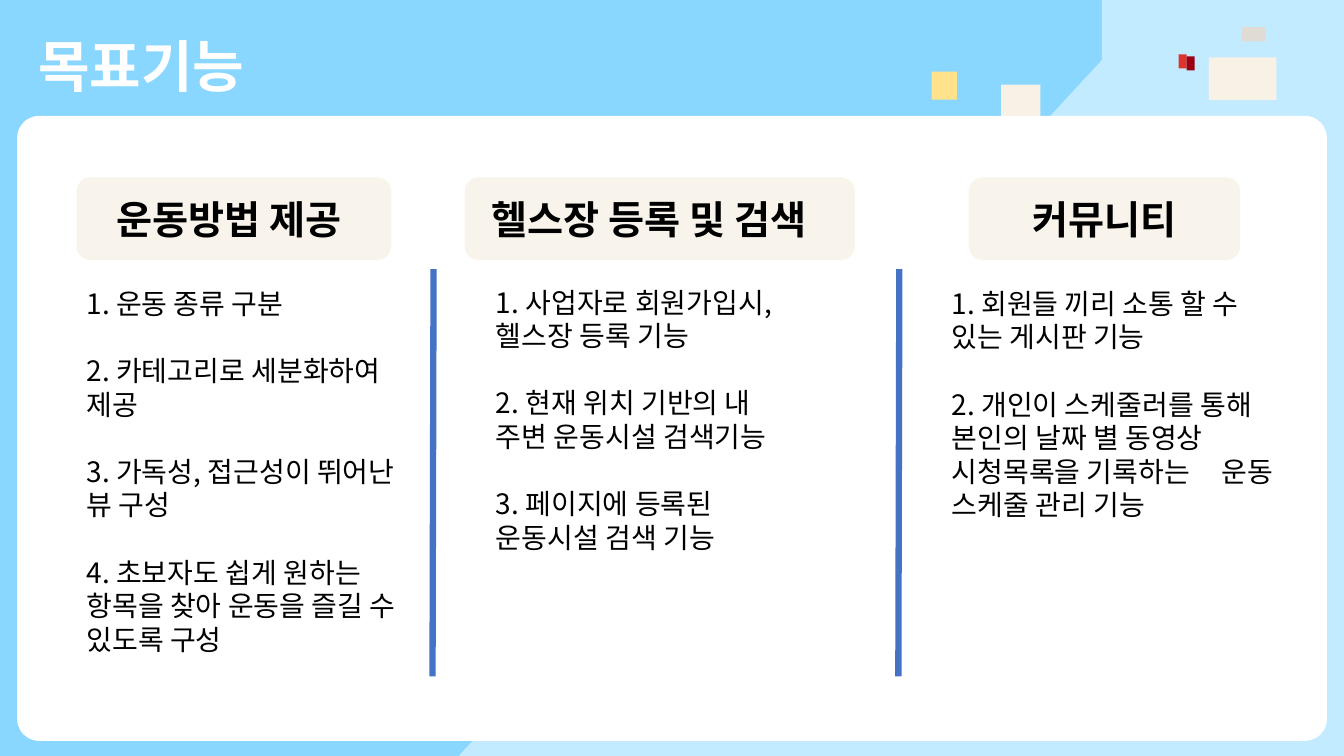
"""Build the target-features slide with three columns of planned functions."""
from dataclasses import dataclass

from lxml.etree import SubElement
from pptx import Presentation
from pptx.dml.color import RGBColor
from pptx.enum.shapes import MSO_CONNECTOR, MSO_SHAPE as Shape
from pptx.enum.text import MSO_ANCHOR as Anchor, PP_ALIGN as Align
from pptx.oxml.ns import qn
from pptx.util import Inches, Pt


@dataclass(frozen=True)
class Theme:
    font: str = "Noto Sans CJK KR"
    sky: str = "89D7FF"
    pale: str = "C3EBFF"
    cream: str = "F7F1E6"
    stone: str = "E0DCD3"
    red: str = "DD352E"
    wine: str = "990013"
    yellow: str = "FFE38C"
    white: str = "FFFFFF"
    black: str = "000000"
    divider: str = "4472C4"
    title_size: int = 40
    heading_size: int = 28
    body_size: int = 20


theme = Theme()


def add_block(kind, place, color):
    block = page.shapes.add_shape(kind, *map(Inches, place))
    block.shadow.inherit = False
    block.fill.solid()
    block.fill.fore_color.rgb = RGBColor.from_string(color)
    block.line.fill.background()
    return block


def write(para, text, size, color, bold=False):
    para.alignment = Align.LEFT
    para.line_spacing = Pt(size * 1.2)
    span = para.add_run()
    span.text = text
    span.font.name = theme.font
    span.font.size = Pt(size)
    span.font.bold = bold
    span.font.color.rgb = RGBColor.from_string(color)
    SubElement(span.font._element, qn("a:ea"), typeface=theme.font)


deck = Presentation()
deck.slide_width, deck.slide_height = Inches(13.33), Inches(7.5)
page = deck.slides.add_slide(deck.slide_layouts[5])
page.background.fill.solid()
page.background.fill.fore_color.rgb = RGBColor.from_string(theme.sky)

slope = add_block(Shape.RIGHT_TRIANGLE, (4.55, 0, 6.93, 7.5), theme.pale)
slope._element.spPr.find(qn("a:xfrm")).set("flipH", "1")

for place, color in [
    ((10.93, 0, 2.4, 7.5), theme.pale),
    ((12.32, 0.27, 0.23, 0.14), theme.stone),
    ((11.69, 0.54, 0.08, 0.14), theme.red),
    ((11.77, 0.56, 0.08, 0.14), theme.wine),
    ((9.93, 0.84, 0.39, 0.31), theme.cream),
    ((9.24, 0.71, 0.25, 0.28), theme.yellow),
    ((11.99, 0.57, 0.67, 0.42), theme.cream),
]:
    add_block(Shape.RECTANGLE, place, color)

card = add_block(Shape.ROUNDED_RECTANGLE, (0.17, 1.15, 12.99, 6.2), theme.white)
card.adjustments[0] = 0.035

title = page.shapes.title
title.left, title.top = Inches(0.28), Inches(0.26)
title.width, title.height = Inches(4.93), Inches(0.77)
title.text_frame.vertical_anchor = Anchor.TOP
write(title.text_frame.paragraphs[0], "목표기능", theme.title_size, theme.white, True)

for x in (4.3, 8.92):
    divider = page.shapes.add_connector(
        MSO_CONNECTOR.STRAIGHT, Inches(x), Inches(2.67), Inches(x - 0.01), Inches(6.71))
    divider.line.color.rgb = RGBColor.from_string(theme.divider)
    divider.line.width = Pt(4.5)
    SubElement(divider._element.spPr, qn("a:effectLst"))

columns = [
    ("운동방법 제공", 0.76, 3.12, 0.36, (0.76, 2.79, 3.53, 3.8), [
        ["1. 운동 종류 구분"],
        ["2. 카테고리로 세분화하여 제공"],
        ["3. 가독성, 접근성이 뛰어난 뷰 구성"],
        ["4. 초보자도 쉽게 원하는", "항목을 찾아 운동을 즐길 수 있도록 구성"],
    ]),
    ("헬스장 등록 및 검색", 4.61, 3.87, 0.23, (4.82, 2.78, 3.19, 3.13), [
        ["1. 사업자로 회원가입시, 헬스장 등록 기능"],
        ["2. 현재 위치 기반의 내 주변 운동시설 검색기능"],
        ["3. 페이지에 등록된 운동시설 검색 기능"],
    ]),
    ("커뮤니티", 9.61, 2.69, 0.59, (9.34, 2.79, 3.43, 2.46), [
        ["1. 회원들 끼리 소통 할 수 있는 게시판 기능"],
        ["2. 개인이 스케줄러를 통해 본인의 날짜 별 동영상 "
         "시청목록을 기록하는\t운동 스케줄 관리 기능"],
    ]),
]

for heading, left, width, inset, place, items in columns:
    pill = add_block(Shape.ROUNDED_RECTANGLE, (left, 1.76, width, 0.82), theme.cream)
    tint = pill._element.spPr.find(qn("a:solidFill"))[0]
    SubElement(tint, qn("a:alpha"), val="80000")
    pill.text_frame.margin_left = Inches(inset)
    pill.text_frame.vertical_anchor = Anchor.MIDDLE
    write(pill.text_frame.paragraphs[0], heading, theme.heading_size, theme.black, True)

    box = page.shapes.add_textbox(*map(Inches, place))
    frame = box.text_frame
    frame.word_wrap = True
    for number, item in enumerate(items):
        for part, text in enumerate(item):
            first = number == 0 and part == 0
            para = frame.paragraphs[0] if first else frame.add_paragraph()
            if number and part == 0:
                para.space_before = Pt(theme.body_size * 1.2)
            write(para, text, theme.body_size, theme.black)
            if "\t" in text:
                stops = SubElement(para._p.get_or_add_pPr(), qn("a:tabLst"))
                SubElement(stops, qn("a:tab"), pos=str(Inches(2.68)), algn="l")

deck.save("out.pptx")
